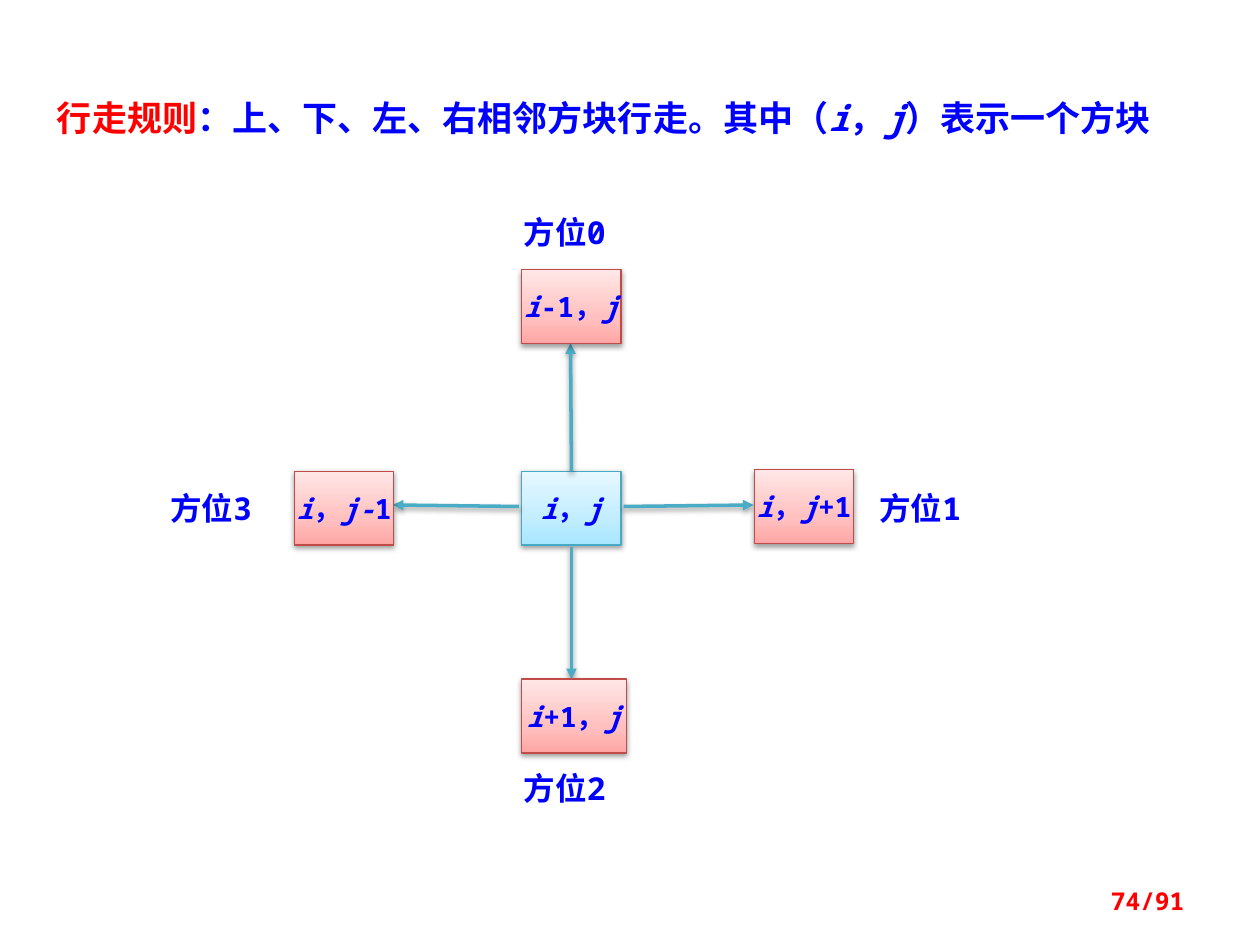
from copy import deepcopy
from dataclasses import dataclass

from lxml.etree import SubElement
from pptx import Presentation
from pptx.dml.color import RGBColor
from pptx.enum.shapes import MSO_CONNECTOR, MSO_SHAPE
from pptx.enum.text import MSO_ANCHOR, MSO_AUTO_SIZE, PP_ALIGN
from pptx.oxml.ns import qn
from pptx.util import Cm, Pt


@dataclass(frozen=True)
class Theme:
    """Colours, fonts and type sizes of the slide."""
    blue: str = "0000FF"
    red: str = "FF0000"
    arrow: str = "4BACC6"
    aqua: tuple = ("46AAC5", "A7E6FF", "C1EDFF", "E7F8FF")
    rose: tuple = ("BF4C48", "FFA6A5", "FFC0BF", "FFE7E7")
    mono: str = "Noto Sans Mono"
    sans: str = "Noto Sans CJK JP"
    head: int = 20
    label: int = 18
    cell: int = 16
    page: int = 14


THEME = Theme()
GROW = {"word_wrap": True, "auto_size": MSO_AUTO_SIZE.SHAPE_TO_FIT_TEXT}


def rgb(code):
    """Turn a hex code into a colour."""
    return RGBColor.from_string(code)


def put(item, vals):
    """Set each value in a dict on an object."""
    for key, val in vals.items():
        setattr(item, key, val)


def write(para, text, size, color=THEME.blue, face=THEME.mono):
    """Add bold runs, with the parts between asterisks in italics."""
    for num, part in enumerate(text.split("*")):
        if part:
            run = para.add_run()
            run.text = part
            put(run.font, {"name": face, "size": Pt(size), "bold": True,
                           "italic": num % 2 == 1})
            run.font.color.rgb = rgb(color)
            SubElement(run.font._element, qn("a:ea"), typeface=THEME.sans)


def shade(item):
    """Give a shape or line a soft shadow below it."""
    props = item._element.spPr
    for old in props.findall(qn("a:effectLst")):
        props.remove(old)
    glow = SubElement(SubElement(props, qn("a:effectLst")), qn("a:outerShdw"),
                      blurRad="40000", dist="20000", dir="5400000", rotWithShape="0")
    tone = SubElement(glow, qn("a:srgbClr"), val="000000")
    SubElement(tone, qn("a:alpha"), val="38000")


def box(slide, left, top, width, height, form):
    """Add a text box and return its first paragraph."""
    frame = slide.shapes.add_textbox(Cm(left), Cm(top), Cm(width), Cm(height)).text_frame
    put(frame, form)
    return frame.paragraphs[0]


def blend(fill, tones):
    """Fill from bottom to top through three tones."""
    fill.gradient()
    fill.gradient_angle = 90
    first = fill.gradient_stops[0]._gs
    first.addnext(deepcopy(first))
    for stop, tone, place in zip(fill.gradient_stops, tones, (0, 0.35, 1)):
        stop.color.rgb = rgb(tone)
        stop.position = place


def cell(slide, text, left, top, tones=THEME.rose, width=2):
    """Add one block of the maze with its index."""
    block = slide.shapes.add_shape(MSO_SHAPE.RECTANGLE, Cm(left), Cm(top),
                                   Cm(width), Cm(1.49))
    edge, *inner = tones
    blend(block.fill, inner)
    block.line.color.rgb = rgb(edge)
    block.line.width = Pt(0.75)
    shade(block)
    frame = block.text_frame
    put(frame, {"word_wrap": False, "vertical_anchor": MSO_ANCHOR.MIDDLE})
    para = frame.paragraphs[0]
    para.alignment = PP_ALIGN.CENTER
    write(para, text, THEME.cell)


def arrow(slide, *ends):
    """Add an arrow between two points."""
    line = slide.shapes.add_connector(MSO_CONNECTOR.STRAIGHT, *map(Cm, ends))
    line.line.color.rgb = rgb(THEME.arrow)
    line.line.width = Pt(2)
    SubElement(line.line._ln, qn("a:tailEnd"), type="triangle")
    shade(line)


def head(slide):
    """Add the walking rule."""
    para = box(slide, 0.58, 1.4, 23.42, 1.42, GROW)
    para.line_spacing = 1.5
    para._p.get_or_add_pPr().set("indent", str(Cm(0.32)))
    write(para, "行走规则", THEME.head, THEME.red, THEME.sans)
    write(para, "：上、下、左、右相邻方块行走。其中（*i*，*j*）表示一个方块", THEME.head)


def page(slide):
    """Add the page count."""
    para = box(slide, 18.21, 17.65, 5.92, 1.02,
               {"word_wrap": True, "vertical_anchor": MSO_ANCHOR.MIDDLE})
    para.alignment = PP_ALIGN.RIGHT
    write(para, "74/91", THEME.page, THEME.red)


def main():
    """Build and save the slide."""
    deck = Presentation()
    put(deck, {"slide_width": Cm(25.4), "slide_height": Cm(19.05)})
    slide = deck.slides.add_slide(deck.slide_layouts[6])
    head(slide)
    spots = ((10.31, 4.17), (17.48, 9.73), (10.31, 15.37), (3.18, 9.73))
    for num, (left, top) in enumerate(spots):
        write(box(slide, left, top, 2.5, 1.02, GROW), f"方位{num}", THEME.label)
    cell(slide, "*i*，*j*", 10.52, 9.5, THEME.aqua)
    for ends in ((11.52, 9.5, 11.5, 6.92), (12.57, 10.21, 15.19, 10.18),
                 (11.52, 11.02, 11.52, 13.69), (10.46, 10.21, 7.92, 10.18)):
        arrow(slide, *ends)
    cell(slide, "*i*-1，*j*", 10.52, 5.44)
    cell(slide, "*i*，*j*+1", 15.21, 9.47)
    cell(slide, "*i*，*j-*1", 5.94, 9.5)
    cell(slide, "*i*+1，*j*", 10.52, 13.69, width=2.11)
    page(slide)
    deck.save("out.pptx")


if __name__ == "__main__":
    main()
